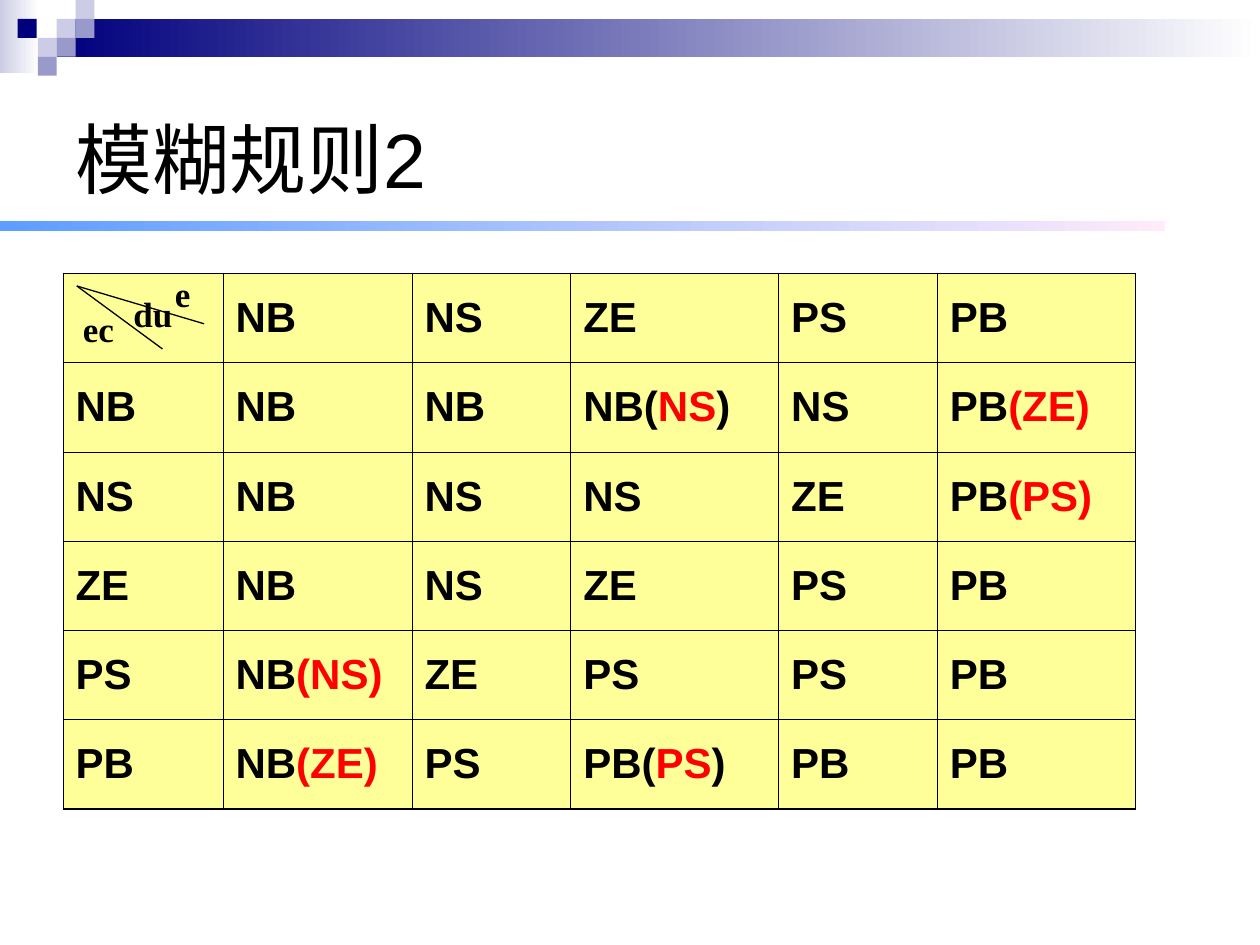
from lxml import etree
from pptx import Presentation
from pptx import util as u
from pptx.dml.color import RGBColor
from pptx.enum import shapes, text
from pptx.oxml import ns

Inches = u.Inches


def color(value):
    return RGBColor.from_string(value)


def write(frame, content, size=24, font="Arial", bold=True, before=0,
          accent="FF0000"):
    """Fill a frame with one paragraph; every second part split by | is accented."""
    para = frame.paragraphs[0]
    para.alignment = text.PP_ALIGN.LEFT
    para.space_before = u.Pt(before)
    for index, part in enumerate(content.split("|")):
        span = para.add_run()
        span.text = part
        span.font.size = u.Pt(size)
        span.font.name = font
        span.font.bold = bold
        span.font.color.rgb = color(accent if index % 2 else "000000")


deck = Presentation()
deck.slide_width, deck.slide_height = Inches(10), Inches(7.5)
page = deck.slides.add_slide(deck.slide_layouts[6])

# Header bands, mosaic squares and title rule; two colours make a gradient
SIDE = 0.15
decorations = [
    (0, 0, 0.31, 0.58, ["CCCCE6", "FFFFFF"]),
    (0.45, 0.15, 9.55, 0.3, ["00007D", "FFFFFF"]),
    (0.45, 0.15, SIDE, SIDE, ["CCCCE6"]),
    (0.6, 0, SIDE, SIDE, ["CCCCE6"]),
    (0.6, 0.15, SIDE, SIDE, ["9999CC"]),
    (0.3, 0.3, SIDE, SIDE, ["CCCCE6"]),
    (0.14, 0.15, SIDE, SIDE, ["00007D"]),
    (0.45, 0.3, SIDE, SIDE, ["9999CC"]),
    (0.3, 0.45, SIDE, SIDE, ["9999CC"]),
    (0, 1.75, 9.25, 0.08, ["5E9EFF", "FFEBFA"]),
]
for left, top, width, height, colors in decorations:
    block = page.shapes.add_shape(shapes.MSO_SHAPE.RECTANGLE, Inches(left),
                                  Inches(top), Inches(width), Inches(height))
    block.shadow.inherit = False
    block.line.fill.background()
    if len(colors) == 1:
        block.fill.solid()
        block.fill.fore_color.rgb = color(colors[0])
    else:
        block.fill.gradient()
        block.fill.gradient_angle = 0
        for stop, value in zip(block.fill.gradient_stops, colors):
            stop.color.rgb = color(value)

# Title
title = page.shapes.add_textbox(Inches(0.5), Inches(0.5), Inches(9), Inches(1.5))
title.text_frame.word_wrap = True
title.text_frame.vertical_anchor = text.MSO_ANCHOR.MIDDLE
write(title.text_frame, "模糊规则2", size=44, bold=False)

# Rule table
rules = [
    ["", "NB", "NS", "ZE", "PS", "PB"],
    ["NB", "NB", "NB", "NB(|NS|)", "NS", "PB|(ZE)"],
    ["NS", "NB", "NS", "NS", "ZE", "PB|(PS)"],
    ["ZE", "NB", "NS", "ZE", "PS", "PB"],
    ["PS", "NB|(NS)", "ZE", "PS", "PS", "PB"],
    ["PB", "NB|(ZE)", "PS", "PB(|PS|)", "PB", "PB"],
]
widths = [1.27, 1.5, 1.26, 1.65, 1.26, 1.57]
table = page.shapes.add_table(len(rules), len(widths), Inches(0.5), Inches(2.17),
                              Inches(sum(widths)), Inches(4.25)).table
for column, width in zip(table.columns, widths):
    column.width = Inches(width)
for row_index, row in enumerate(rules):
    table.rows[row_index].height = Inches(4.25 / len(rules))
    for column_index, content in enumerate(row):
        cell = table.cell(row_index, column_index)
        cell.vertical_anchor = text.MSO_ANCHOR.MIDDLE
        cell.fill.solid()
        cell.fill.fore_color.rgb = color("FFFF99")
        if content:
            write(cell.text_frame, content, before=6)
        # Thin grid, heavier along the top and bottom edges
        properties = cell._tc.get_or_add_tcPr()
        for position, edge in enumerate("LRTB"):
            outer = (edge, row_index) in [("T", 0), ("B", len(rules) - 1)]
            border = etree.Element(ns.qn(f"a:ln{edge}"),
                                   w=str(u.Pt(1.08 if outer else 0.45)))
            fill = etree.SubElement(border, ns.qn("a:solidFill"))
            etree.SubElement(fill, ns.qn("a:srgbClr"), val="000000")
            properties.insert(position, border)

# Corner cell labels, each box a little wider than its word
for label, left, top, width in [("du", 0.96, 2.27, 0.53), ("e", 1.29, 2.11, 0.34),
                                ("ec", 0.56, 2.39, 0.47)]:
    box = page.shapes.add_textbox(Inches(left), Inches(top), Inches(width),
                                  Inches(0.44))
    box.text_frame.word_wrap = False
    box.text_frame.auto_size = text.MSO_AUTO_SIZE.NONE
    write(box.text_frame, label, size=20, font="Times New Roman")

# Corner cell dividers
for end_x, end_y in [(1.62, 2.57), (1.29, 2.77)]:
    divider = page.shapes.add_connector(shapes.MSO_CONNECTOR.STRAIGHT, Inches(0.61),
                                        Inches(2.27), Inches(end_x), Inches(end_y))
    divider.line.color.rgb = color("000000")
    divider.line.width = u.Pt(0.75)
    etree.SubElement(divider._element.spPr, ns.qn("a:effectLst"))

deck.save("out.pptx")
